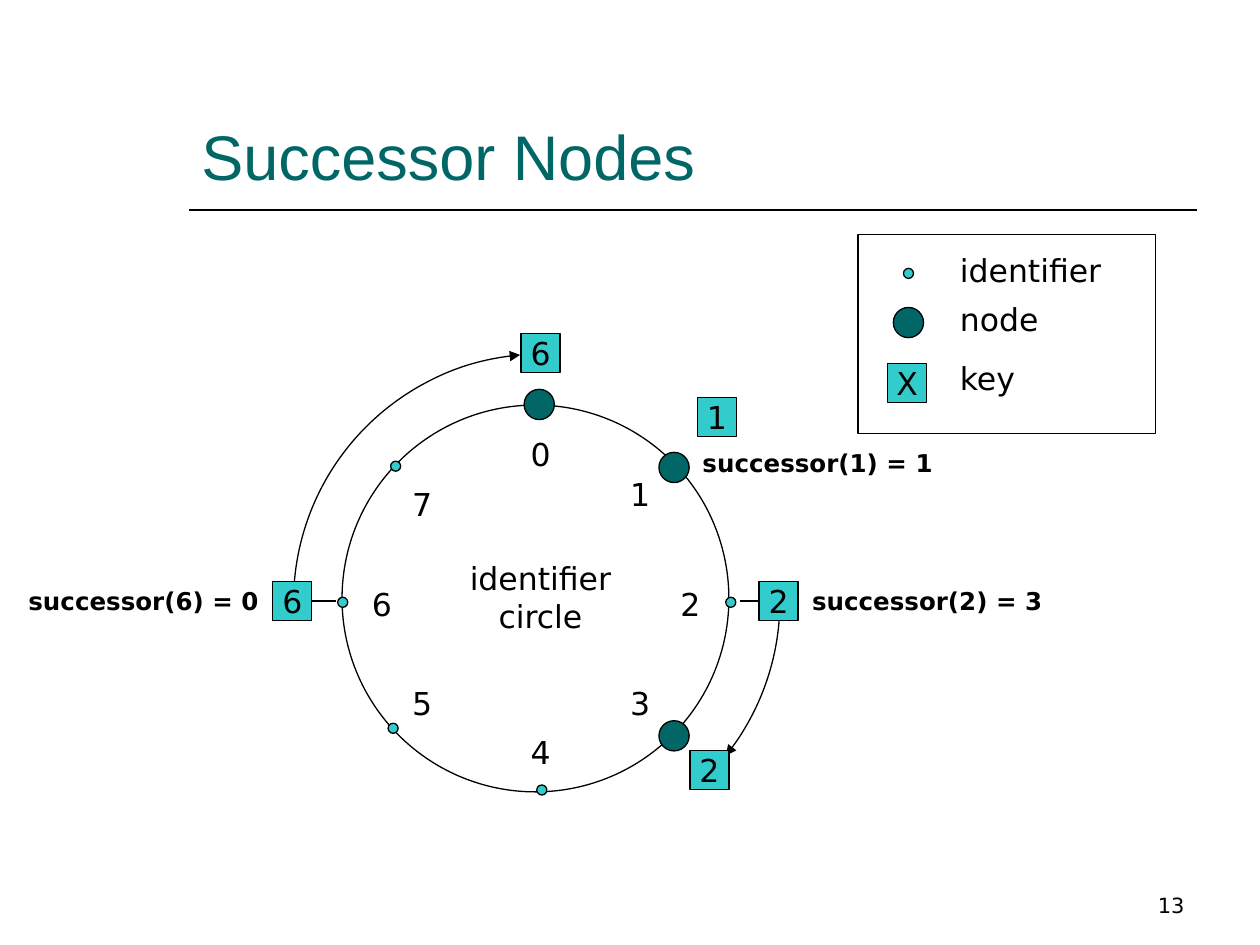
import pptx
import pptx.util
import pptx.dml.color
import pptx.enum.shapes
import pptx.enum.text
import pptx.oxml.ns
import lxml.etree

Inches = pptx.util.Inches
Kind = pptx.enum.shapes.MSO_SHAPE
Align = pptx.enum.text.PP_ALIGN
Anchor = pptx.enum.text.MSO_ANCHOR
qn = pptx.oxml.ns.qn

THEME = {
    "ink": "000000", "dark": "006666", "light": "33CCCC",
    "head": ("Arial", 36), "body": ("DejaVu Sans", 18),
    "note": ("DejaVu Sans", 14), "foot": ("DejaVu Sans", 12),
    "thin": 0.75, "rule": 1,
}
KEY, NODE, DOT = 0.31, 0.24, 0.08

# Centres, in inches
RING = (4.25, 4.75, 3.07)
LABELS = [("0", 4.29, 3.6), ("1", 5.08, 3.92), ("2", 5.48, 4.79),
          ("3", 5.08, 5.58), ("4", 4.29, 5.97), ("5", 3.35, 5.58),
          ("6", 3.03, 4.79), ("7", 3.35, 4.0)]
NODES = [(4.28, 3.21), (5.35, 3.71), (5.35, 5.84), (7.21, 2.56)]
DOTS = [(5.8, 4.78), (4.3, 6.27), (3.12, 5.78), (2.72, 4.78),
        (3.14, 3.7), (7.21, 2.17)]
KEYS = [("6", 4.29, 2.8), ("1", 5.69, 3.31), ("2", 5.63, 6.11), ("X", 7.2, 3.04)]
# Text, centre, x where its link starts, side of the key it joins
LINKED = [("6", 2.32, 4.77, 2.67, 3), ("2", 6.18, 4.77, 5.87, 1)]
# Centre, start and end angle in degrees clockwise from the right
ARCS = [(4.3, 4.78, 180, 265), (4.22, 4.77, 0, 38.5)]
ARC = 3.94
NOTES = [("successor(1) = 1", 6.49, 3.67), ("successor(2) = 3", 7.36, 4.77),
         ("successor(6) = 0", 1.14, 4.77)]
LEGEND = [("node", 2.41), ("key", 2.88)]


def color(name):
    return pptx.dml.color.RGBColor.from_string(THEME[name])


def stroke(item, width="thin"):
    item.line.color.rgb = color("ink")
    item.line.width = pptx.util.Pt(THEME[width])


def write(item, text, style="body", align=Align.CENTER, anchor=Anchor.MIDDLE,
          ink="ink", bold=False):
    """Put each line of text in its own paragraph; centred text has no side margins."""
    frame = item.text_frame
    frame.word_wrap = align != Align.CENTER
    if align == Align.CENTER:
        frame.margin_left = frame.margin_right = 0
    frame.vertical_anchor = anchor
    for i, line in enumerate(text.split("\n")):
        para = frame.add_paragraph() if i else frame.paragraphs[0]
        para.alignment = align
        run = para.add_run()
        run.text = line
        name, size = THEME[style]
        run.font.name = name
        run.font.size = pptx.util.Pt(size)
        run.font.bold = bold
        run.font.color.rgb = color(ink)


def shape(slide, kind, x, y, w, h, fill=None):
    """Draw an outlined shape centred on x, y."""
    item = slide.shapes.add_shape(
        kind, Inches(x - w / 2), Inches(y - h / 2), Inches(w), Inches(h))
    item.shadow.inherit = False
    if fill:
        item.fill.solid()
        item.fill.fore_color.rgb = color(fill)
    else:
        item.fill.background()
    stroke(item)
    return item


def box(slide, text, left, top, w, h, **style):
    item = slide.shapes.add_textbox(Inches(left), Inches(top), Inches(w), Inches(h))
    write(item, text, **style)


def label(slide, text, x, y, w, h, **style):
    """Add a text box centred on x, y."""
    box(slide, text, x - w / 2, y - h / 2, w, h, **style)


def key(slide, text, x, y):
    item = shape(slide, Kind.RECTANGLE, x, y, KEY, KEY, "light")
    write(item, text)
    return item


def line(slide, x1, y1, x2, y2, width="thin"):
    item = slide.shapes.add_connector(
        pptx.enum.shapes.MSO_CONNECTOR.STRAIGHT,
        Inches(x1), Inches(y1), Inches(x2), Inches(y2))
    stroke(item, width)
    lxml.etree.SubElement(item._element.spPr, qn("a:effectLst"))
    return item


def arc(slide, x, y, start, end):
    """Draw an arc that ends in an arrowhead."""
    item = shape(slide, Kind.ARC, x, y, ARC, ARC)
    # Angles are stored as 60000ths of a degree, adjustments as 100000ths
    item.adjustments[0] = start * 0.6
    item.adjustments[1] = end * 0.6
    ln = item.line._get_or_add_ln()
    lxml.etree.SubElement(ln, qn("a:tailEnd"), type="triangle")


def draw_ring(slide):
    for spot in ARCS:
        arc(slide, *spot)
    x, y, size = RING
    shape(slide, Kind.OVAL, x, y, size, size)
    label(slide, "identifier\ncircle", 4.29, 4.74, 1.26, 0.71)
    for text, x, y in LABELS:
        label(slide, text, x, y, 0.32, 0.31)


def draw_legend(slide):
    shape(slide, Kind.RECTANGLE, 7.99, 2.65, 2.36, 1.58)
    box(slide, "identifier", 7.55, 2.02, 1.26, 0.24)
    for text, top in LEGEND:
        box(slide, text, 7.52, top, 1.26, 0.24, align=Align.LEFT)


def draw_marks(slide):
    for spots, size, fill in ((DOTS, DOT, "light"), (NODES, NODE, "dark")):
        for x, y in spots:
            shape(slide, Kind.OVAL, x, y, size, size, fill)
    for spot in KEYS:
        key(slide, *spot)
    for text, x, y, start, side in LINKED:
        item = key(slide, text, x, y)
        line(slide, start, y, x, y).end_connect(item, side)
    for text, x, y in NOTES:
        label(slide, text, x, y, 1.9, 0.31, style="note", bold=True)


def main():
    deck = pptx.Presentation()
    deck.slide_width, deck.slide_height = Inches(10), Inches(7.5)
    slide = deck.slides.add_slide(deck.slide_layouts[6])
    rule = 5 / 3
    line(slide, 1.5, rule, 9.5, rule, "rule")
    box(slide, "Successor Nodes", 1.5, 0.33, 8, 1.25, style="head",
        align=Align.LEFT, anchor=Anchor.BOTTOM, ink="dark")
    draw_ring(slide)
    draw_legend(slide)
    draw_marks(slide)
    box(slide, "13", 7.17, 6.83, 2.33, 0.5, style="foot",
        align=Align.RIGHT, anchor=Anchor.BOTTOM)
    deck.save("out.pptx")


if __name__ == "__main__":
    main()
